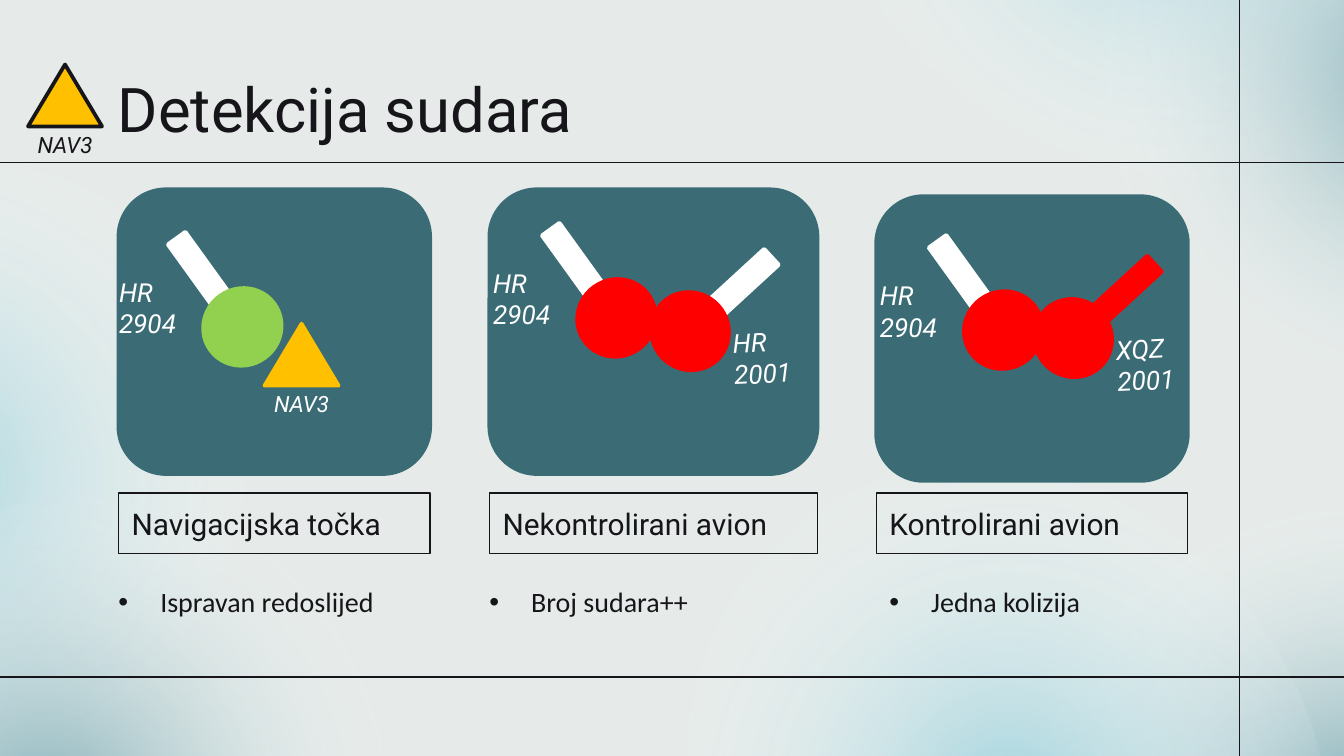
from dataclasses import dataclass
from typing import NamedTuple

from lxml.etree import SubElement
from pptx import Presentation
from pptx.dml.color import RGBColor
from pptx.enum.shapes import MSO_CONNECTOR, MSO_SHAPE
from pptx.enum.text import MSO_ANCHOR, PP_ALIGN
from pptx.oxml import parse_xml
from pptx.oxml.ns import nsdecls, qn
from pptx.util import Cm, Pt


@dataclass(frozen=True)
class Theme:
    background: str = "E6EBE9"
    ink: str = "161519"
    card: str = "3B6C76"
    white: str = "FFFFFF"
    alert: str = "FF0000"
    safe: str = "92D050"
    waypoint: str = "FFC000"
    glow_dark: str = "4E909E"
    glow_light: str = "80C8D8"
    heading_font: str = "Roboto"
    body_font: str = "Calibri"
    title_size: float = 33
    caption_size: float = 16
    body_size: float = 15
    callsign_size: float = 14
    waypoint_size: float = 12
    thin: float = 0.75
    thick: float = 2


class Box(NamedTuple):
    """Left, top, width and height in centimetres."""
    x: float
    y: float
    w: float
    h: float

    def lengths(self):
        return [Cm(v) for v in self]


THEME = Theme()
SLIDE = Box(0, 0, 25.4, 14.29)


def rgb(color):
    return RGBColor.from_string(color)


def centred(x, y, w, h):
    return Box(x - w / 2, y - h / 2, w, h)


def add_text(slide, box, text, *, size, color=THEME.ink, font=THEME.heading_font,
             italic=False, align=PP_ALIGN.LEFT, rotation=0, bullet=False, border=None):
    sp = slide.shapes.add_textbox(*box.lengths())
    sp.rotation = rotation
    if border:
        sp.line.color.rgb = rgb(border)
        sp.line.width = Pt(THEME.thin)
    tf = sp.text_frame
    tf.word_wrap = True
    tf.vertical_anchor = MSO_ANCHOR.MIDDLE
    tf.margin_left = tf.margin_right = tf.margin_top = tf.margin_bottom = Cm(0.25)
    p = tf.paragraphs[0]
    p.alignment = align
    if bullet:
        pPr = p._p.get_or_add_pPr()
        pPr.set("marL", str(Cm(0.79)))
        pPr.set("indent", str(-Cm(0.79)))
        SubElement(pPr, qn("a:buFont"), typeface="Arial")
        SubElement(pPr, qn("a:buChar"), char="•")
    r = p.add_run()
    r.text = text
    r.font.name = font
    r.font.size = Pt(size)
    r.font.italic = italic
    r.font.color.rgb = rgb(color)


def add_figure(slide, kind, box, fill, line=None, rotation=0):
    sp = slide.shapes.add_shape(kind, *box.lengths())
    sp.shadow.inherit = False
    sp.rotation = rotation
    sp.fill.solid()
    sp.fill.fore_color.rgb = rgb(fill)
    sp.line.color.rgb = rgb(line or fill)
    sp.line.width = Pt(THEME.thick)
    return sp


def add_glow(slide, x, y, color, opacity, rotation):
    """Add an ellipse that fades from its centre to nothing."""
    sp = add_figure(slide, MSO_SHAPE.OVAL, Box(x, y, 13.26, 11.68), color, rotation=rotation)
    sp.line.fill.background()
    stops = "".join(
        f'<a:gs pos="{pos * 1000}"><a:srgbClr val="{c}">'
        f'<a:alpha val="{alpha * 1000}"/></a:srgbClr></a:gs>'
        for pos, c, alpha in ((0, color, opacity), (58, THEME.white, 0), (100, THEME.white, 0)))
    gradient = parse_xml(
        f'<a:gradFill {nsdecls("a")} rotWithShape="1"><a:gsLst>{stops}</a:gsLst>'
        '<a:path path="circle"><a:fillToRect l="50000" t="50000" r="50000" b="50000"/>'
        '</a:path></a:gradFill>')
    spPr = sp._element.spPr
    spPr.replace(spPr.find(qn("a:solidFill")), gradient)


def add_rule(slide, x1, y1, x2, y2):
    line = slide.shapes.add_connector(MSO_CONNECTOR.STRAIGHT, Cm(x1), Cm(y1), Cm(x2), Cm(y2))
    line.line.color.rgb = rgb(THEME.ink)
    line.line.width = Pt(THEME.thin)
    SubElement(line._element.spPr, qn("a:effectLst"))


def add_backdrop(slide, box):
    fill = slide.background.fill
    fill.solid()
    fill.fore_color.rgb = rgb(THEME.background)
    for x, y, color, opacity, rotation in (
            (19.13, 10.03, THEME.glow_dark, 81, 237.1),
            (12.42, 9.35, THEME.glow_light, 68, 237.1),
            (15.49, -8.46, THEME.glow_light, 68, 202),
            (20.5, -4.42, THEME.glow_dark, 68, 202),
            (-8.38, 3.2, THEME.glow_light, 68, 149),
            (-5.82, 9.65, THEME.glow_dark, 68, 149)):
        add_glow(slide, box.x + x, box.y + y, color, opacity, rotation)
    for y in (3.07, 12.8):
        add_rule(slide, box.x, box.y + y, box.x + box.w, box.y + y)
    add_rule(slide, box.x + 23.42, box.y, box.x + 23.42, box.y + box.h)


def add_waypoint(slide, x, y, label, line, color):
    add_figure(slide, MSO_SHAPE.ISOSCELES_TRIANGLE, Box(x, y, 1.4, 1.17), THEME.waypoint, line)
    add_text(slide, Box(x - 0.15, y + 1.02, 1.7, 0.97), label, size=THEME.waypoint_size,
             color=color, italic=True, align=PP_ALIGN.CENTER)


def add_aircraft(slide, x, y, callsign, body, tail=THEME.white, from_right=False):
    """Add a round body centred on (x, y), its tail and its callsign."""
    if from_right:
        angle, tail_at, label_at, tilt = 137.4, (0.97, -0.88), (1.65, 0.48), 357.2
    else:
        angle, tail_at, label_at, tilt = 54.2, (-0.79, -1.05), (-1.5, -0.36), 0
    add_figure(slide, MSO_SHAPE.RECTANGLE, centred(x + tail_at[0], y + tail_at[1], 1.55, 0.41),
               tail, rotation=angle)
    add_figure(slide, MSO_SHAPE.OVAL, centred(x, y, 1.45, 1.5), body, rotation=angle)
    add_text(slide, centred(x + label_at[0], y + label_at[1], 2.16, 0.64), callsign,
             size=THEME.callsign_size, color=THEME.white, italic=True, rotation=tilt)


def add_case(slide, box, caption, note, aircraft, note_shift=0, card_drop=0, waypoint=None):
    """Add one collision case: a card with its scene, a caption and a note."""
    card = Box(box.x, box.y + card_drop, box.w, 5.38)
    add_text(slide, Box(box.x, box.y + 5.74, box.w, 1.14), caption,
             size=THEME.caption_size, border=THEME.ink)
    add_text(slide, Box(box.x + note_shift, box.y + 6.99, 5.89, 1.6), note,
             size=THEME.body_size, font=THEME.body_font, bullet=True)
    add_figure(slide, MSO_SHAPE.ROUNDED_RECTANGLE, card, THEME.card)
    for x, y, callsign, look in aircraft:
        add_aircraft(slide, card.x + x, card.y + y, callsign, **look)
    if waypoint:
        x, y, label = waypoint
        add_waypoint(slide, card.x + x, card.y + y, label, THEME.waypoint, THEME.white)


def add_header(slide, box):
    add_text(slide, Box(box.x + 1.45, box.y, box.w - 1.45, 1.6), "Detekcija sudara",
             size=THEME.title_size)
    add_waypoint(slide, box.x, box.y - 0.02, "NAV3", THEME.ink, THEME.ink)


def main():
    prs = Presentation()
    prs.slide_width, prs.slide_height = Cm(SLIDE.w), Cm(SLIDE.h)
    s = prs.slides.add_slide(prs.slide_layouts[6])
    hit = {"body": THEME.alert}
    hit_right = {**hit, "from_right": True}
    add_backdrop(s, SLIDE)
    add_header(s, Box(0.53, 1.24, 22.89, 1.6))
    add_case(s, Box(2.24, 3.58, 5.89, 8.59), "Navigacijska točka", "Ispravan redoslijed",
             [(2.34, 2.6, "HR 2904", {"body": THEME.safe})],
             note_shift=-0.25, waypoint=(2.76, 2.54, "NAV3"))
    add_case(s, Box(9.25, 3.58, 6.2, 8.59), "Nekontrolirani avion", "Broj sudara++",
             [(3.79, 2.68, "HR 2001", hit_right), (2.4, 2.43, "HR 2904", hit)],
             note_shift=-0.25)
    add_case(s, Box(16.56, 3.58, 5.89, 8.59), "Kontrolirani avion", "Jedna kolizija",
             [(2.4, 2.53, "HR 2904", hit),
              (3.72, 2.68, "XQZ 2001", {**hit_right, "tail": THEME.alert})],
             card_drop=0.13)
    prs.save("out.pptx")


if __name__ == "__main__":
    main()
